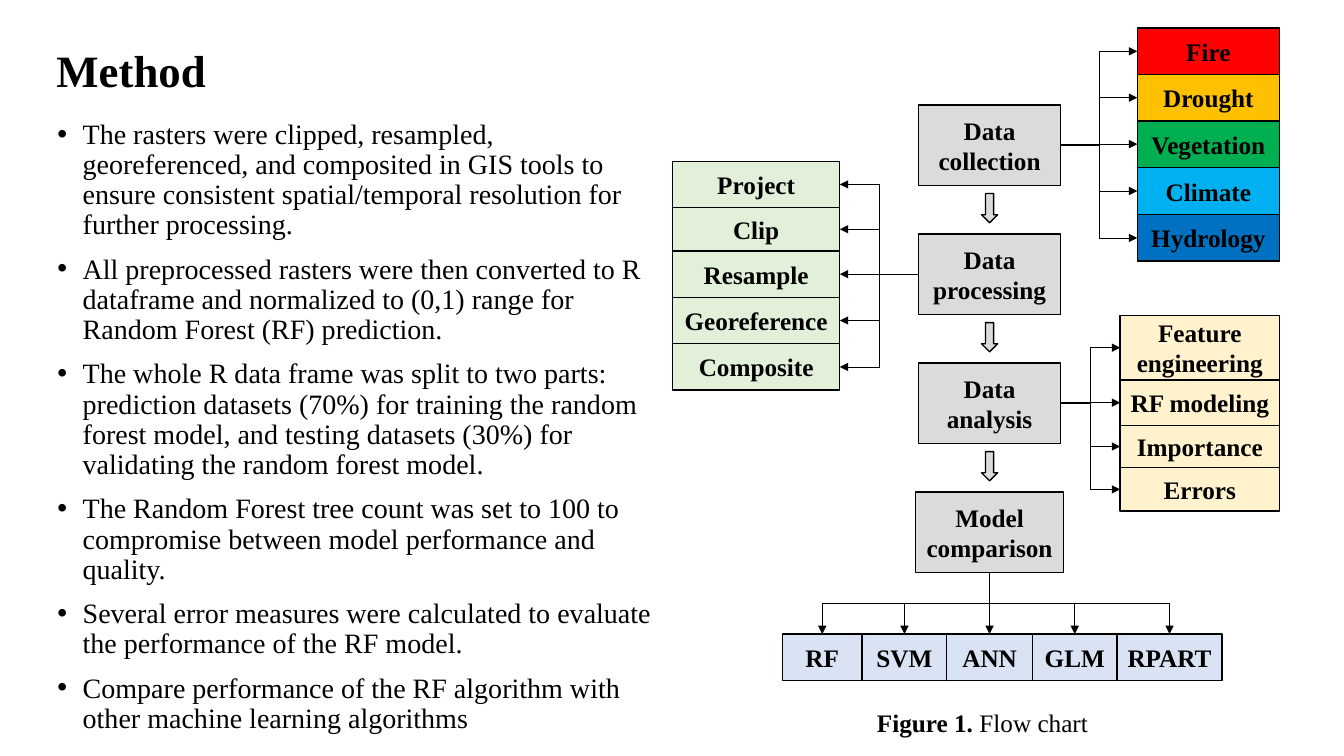
import pptx
import pptx.dml.color
import pptx.enum.shapes
import pptx.enum.text
import pptx.oxml.ns
import pptx.util
from itertools import accumulate
from dataclasses import dataclass
from lxml import etree

PX = 9144  # EMU in one px, 100 px to the inch
SHAPES = pptx.enum.shapes.MSO_SHAPE
CONNECTORS = pptx.enum.shapes.MSO_CONNECTOR
ALIGN = pptx.enum.text.PP_ALIGN
ANCHOR = pptx.enum.text.MSO_ANCHOR


@dataclass(frozen=True)
class Theme:
    font: str = "Times New Roman"
    title_size: int = 32
    body_size: int = 20
    label_size: int = 18
    ink: str = "000000"
    stage: str = "DBDBDB"
    processing: str = "E2F0D9"
    analysis: str = "FFF2CC"
    models: str = "DAE3F3"
    fire: str = "FF0000"
    drought: str = "FFC000"
    vegetation: str = "00B050"
    climate: str = "00B0F0"
    hydrology: str = "0070C0"


THEME = Theme()

METHOD_STEPS = [
    "The rasters were clipped, resampled, georeferenced, and composited in GIS tools to ensure consistent spatial/temporal resolution for further processing.",
    "All preprocessed rasters were then converted to R dataframe and normalized to (0,1) range for Random Forest (RF) prediction.",
    "The whole R data frame was split to two parts: prediction datasets (70%) for training the random forest model, and testing datasets (30%) for validating the random forest model.",
    "The Random Forest tree count was set to 100 to compromise between model performance and quality.",
    "Several error measures were calculated to evaluate the performance of the RF model.",
    "Compare performance of the RF algorithm with other machine learning algorithms",
]


def emu(*lengths):
    return [pptx.util.Emu(round(length * PX)) for length in lengths]


def rgb(colour):
    return pptx.dml.color.RGBColor.from_string(colour)


def format_font(font, size, bold=False):
    font.name, font.size, font.bold = THEME.font, pptx.util.Pt(size), bold
    font.color.rgb = rgb(THEME.ink)


def place(shape, box):
    shape.left, shape.top, shape.width, shape.height = emu(*box)


# Basic parts
def add_block(slide, preset, box, fill, label=""):
    shape = slide.shapes.add_shape(preset, *emu(*box))
    shape.shadow.inherit = False
    shape.fill.solid()
    shape.fill.fore_color.rgb = rgb(fill)
    shape.line.color.rgb = rgb(THEME.ink)
    shape.line.width = pptx.util.Pt(1)
    if label:
        text_frame = shape.text_frame
        text_frame.word_wrap = True
        text_frame.vertical_anchor = ANCHOR.MIDDLE
        text_frame.text = label
        for paragraph in text_frame.paragraphs:
            paragraph.alignment = ALIGN.CENTER
            for run in paragraph.runs:
                format_font(run.font, THEME.label_size, bold=True)


def add_arrow(slide, start, end, vertical=False):
    (x1, y1), (x2, y2) = start, end
    # A branch level with its stage is drawn straight
    straight = abs(x2 - x1 if vertical else y2 - y1) < 2
    rotation = 0
    if straight:
        x1, y1 = (x2, y1) if vertical else (x1, y2)
    elif vertical:
        # An elbow leaves sideways, so turn it about its centre
        centre_x, centre_y = (x1 + x2) / 2, (y1 + y2) / 2
        half_drop, half_span = (y2 - y1) / 2, abs(x2 - x1) / 2
        rotation = 90
        if x2 > x1:
            rotation, half_drop = 270, -half_drop
        x1, x2 = centre_x - half_drop, centre_x + half_drop
        y1, y2 = centre_y - half_span, centre_y + half_span
    kind = CONNECTORS.STRAIGHT if straight else CONNECTORS.ELBOW
    connector = slide.shapes.add_connector(kind, *emu(x1, y1, x2, y2))
    connector.line.color.rgb = rgb(THEME.ink)
    connector.line.width = pptx.util.Pt(0.5)
    properties = connector._element.spPr
    if rotation:
        properties.xfrm.set("rot", str(rotation * 60000))
    qn = pptx.oxml.ns.qn
    etree.SubElement(properties.find(qn("a:ln")), qn("a:tailEnd"), type="triangle")
    etree.SubElement(properties, qn("a:effectLst"))


# Title and list
def fill_title(slide, box):
    title = slide.shapes.title
    place(title, box)
    title.text_frame.text = "Method"
    title.text_frame.vertical_anchor = ANCHOR.MIDDLE
    paragraph = title.text_frame.paragraphs[0]
    paragraph.alignment = ALIGN.LEFT
    paragraph.line_spacing = 0.9
    format_font(paragraph.runs[0].font, THEME.title_size, bold=True)


def fill_steps(slide, box):
    body = slide.placeholders[1]
    place(body, box)
    text_frame = body.text_frame
    text_frame.auto_size = pptx.enum.text.MSO_AUTO_SIZE.NONE
    text_frame.text = "\n".join(METHOD_STEPS)
    for index, paragraph in enumerate(text_frame.paragraphs):
        properties = paragraph._p.get_or_add_pPr()
        hanging, = emu(25)
        properties.set("marL", str(hanging))
        properties.set("indent", str(-hanging))
        etree.SubElement(properties, pptx.oxml.ns.qn("a:buChar"), char="•")
        paragraph.line_spacing = 0.9
        paragraph.space_before = pptx.util.Pt(10 if index else 0)
        format_font(paragraph.runs[0].font, THEME.body_size)


# Flow chart
def add_stages(slide, box, labels, pitch):
    left, top, width, height = box
    for index, label in enumerate(labels):
        y = top + index * pitch
        last = index == len(labels) - 1
        spread = 3 if last else 0
        add_block(slide, SHAPES.RECTANGLE,
                  (left - spread, y, width + 2 * spread, height), THEME.stage, label)
        if not last:
            add_block(slide, SHAPES.DOWN_ARROW,
                      (left + width / 2 - 8, y + height + 8, 16, 29), THEME.stage)


def add_column(slide, box, heights, items, source):
    """Stack the items in the box and branch to each from the source point."""
    left, top, width = box
    edge = left if source[0] < left else left + width
    for offset, height, (label, fill) in zip(accumulate(heights, initial=0), heights, items):
        y = top + offset
        add_block(slide, SHAPES.RECTANGLE, (left, y, width, height), fill, label)
        add_arrow(slide, source, (edge, y + height / 2))


def add_model_row(slide, box, widths, labels, source):
    left, top, height = box
    for offset, width, label in zip(accumulate(widths, initial=0), widths, labels):
        x = left + offset
        add_block(slide, SHAPES.RECTANGLE, (x, top, width, height), THEME.models, label)
        add_arrow(slide, source, (x + width / 2, top), vertical=True)


def add_flow_chart(slide, stage_box):
    left, top, width, height = stage_box
    right, centre, pitch = left + width, left + width / 2, 128
    collection, processing, analysis, comparison = [
        top + height / 2 + index * pitch for index in range(4)]
    add_stages(slide, stage_box,
               ["Data collection", "Data processing", "Data\nanalysis", "Model\ncomparison"], pitch)
    add_column(slide, (right + 76, top - 76, 141), [46, 46, 46, 47, 46],
               [("Fire", THEME.fire), ("Drought", THEME.drought),
                ("Vegetation", THEME.vegetation), ("Climate", THEME.climate),
                ("Hydrology", THEME.hydrology)], (right, collection))
    add_column(slide, (left - 244, top + 56, 166), [46, 43, 46, 46, 46],
               [(label, THEME.processing) for label in
                ("Project", "Clip", "Resample", "Georeference", "Composite")], (left, processing))
    add_column(slide, (right + 59, top + 209, 158), [64, 45, 42, 43],
               [(label, THEME.analysis) for label in
                ("Feature engineering", "RF modeling", "Importance", "Errors")], (right, analysis))
    add_model_row(slide, (left - 135, top + 525, 46), [79, 84, 85, 84, 104],
                  ["RF", "SVM", "ANN", "GLM", "RPART"], (centre, comparison + height / 2))


def add_caption(slide, box):
    text_frame = slide.shapes.add_textbox(*emu(*box)).text_frame
    text_frame.word_wrap = True
    paragraph = text_frame.paragraphs[0]
    for text, bold in (("Figure 1. ", True), ("Flow chart", False)):
        run = paragraph.add_run()
        run.text = text
        format_font(run.font, THEME.label_size, bold)


def main():
    presentation = pptx.Presentation()
    presentation.slide_width, presentation.slide_height = emu(1333, 750)
    slide = presentation.slides.add_slide(presentation.slide_layouts[1])
    fill_title(slide, (46, 0, 241, 145))
    fill_steps(slide, (47, 114, 616, 634))
    add_flow_chart(slide, (911, 104, 141, 80))
    add_caption(slide, (860, 697, 243, 40))
    presentation.save("out.pptx")


if __name__ == "__main__":
    main()
